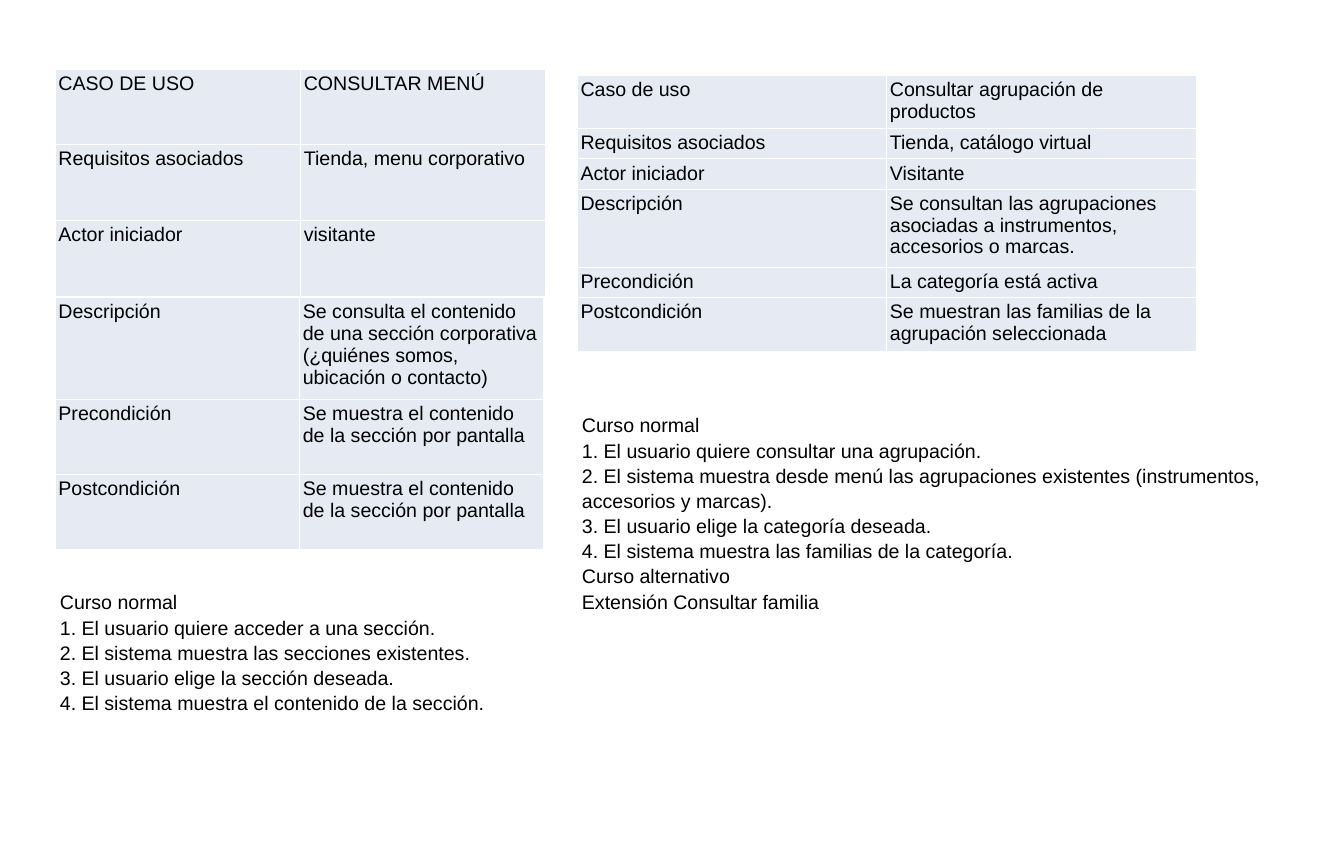
"""Build a slide of two use cases, each with its table and its steps."""
from dataclasses import dataclass

from lxml import etree
from pptx import Presentation
from pptx import util as u
from pptx.dml import color
from pptx.enum import text
from pptx.oxml import ns

HUES = {"ink": "000000", "cell": "E6EBF3", "edge": "FFFFFF"}
FONT = "Arial"
SIZE = 28


@dataclass
class Grid:
    left: float
    top: float
    width: float
    rows: list[tuple[float, str, str]]


@dataclass
class Steps:
    left: float
    top: float
    width: float
    height: float
    anchor: text.MSO_ANCHOR
    lines: list[str]


GRIDS = [
    Grid(1.09, 1.37, 4.87, [
        (1.5, "CASO DE USO", "CONSULTAR MENÚ"),
        (1.5, "Requisitos asociados", "Tienda, menu corporativo"),
        (1.5, "Actor iniciador", "visitante"),
    ]),
    Grid(1.09, 5.9, 4.85, [
        (2.03, "Descripción", "Se consulta el contenido de una sección corporativa "
                              "(¿quiénes somos, ubicación o contacto)"),
        (1.48, "Precondición", "Se muestra el contenido de la sección por pantalla"),
        (1.48, "Postcondición", "Se muestra el contenido de la sección por pantalla"),
    ]),
    Grid(11.45, 1.49, 6.14, [
        (1.06, "Caso de uso", "Consultar agrupación de productos"),
        (0.6, "Requisitos asociados", "Tienda, catálogo virtual"),
        (0.6, "Actor iniciador", "Visitante"),
        (1.55, "Descripción", "Se consultan las agrupaciones asociadas a instrumentos, "
                              "accesorios o marcas."),
        (0.6, "Precondición", "La categoría está activa"),
        (1.07, "Postcondición", "Se muestran las familias de la agrupación seleccionada"),
    ]),
]

STEPS = [
    Steps(1.09, 11.63, 13.33, 2.93, text.MSO_ANCHOR.TOP, [
        "Curso normal",
        "1. El usuario quiere acceder a una sección.",
        "2. El sistema muestra las secciones existentes.",
        "3. El usuario elige la sección deseada.",
        "4. El sistema muestra el contenido de la sección.",
    ]),
    Steps(11.45, 8.23, 14.43, 3.87, text.MSO_ANCHOR.MIDDLE, [
        "Curso normal",
        "1. El usuario quiere consultar una agrupación.",
        "2. El sistema muestra desde menú las agrupaciones existentes "
        "(instrumentos, accesorios y marcas).",
        "3. El usuario elige la categoría deseada.",
        "4. El sistema muestra las familias de la categoría.",
        "Curso alternativo",
        "Extensión Consultar familia",
    ]),
]


def style(para) -> None:
    para.font.name = FONT
    para.font.size = u.Pt(SIZE)
    para.font.color.rgb = color.RGBColor.from_string(HUES["ink"])


def edge(cell) -> None:
    props = cell._tc.get_or_add_tcPr()
    for side in ("lnL", "lnR", "lnT", "lnB"):
        line = etree.SubElement(props, ns.qn(f"a:{side}"), w=str(u.Pt(1)))
        fill = etree.SubElement(line, ns.qn("a:solidFill"))
        etree.SubElement(fill, ns.qn("a:srgbClr"), val=HUES["edge"])


def fill_cell(cell, words: str) -> None:
    cell.text = words
    style(cell.text_frame.paragraphs[0])
    cell.margin_left = cell.margin_right = u.Inches(0.07)
    cell.margin_top = cell.margin_bottom = u.Inches(0.07)
    edge(cell)
    cell.fill.solid()
    cell.fill.fore_color.rgb = color.RGBColor.from_string(HUES["cell"])


def draw_grid(slide, grid: Grid) -> None:
    tall = sum(row[0] for row in grid.rows)
    table = slide.shapes.add_table(
        len(grid.rows), 2, u.Inches(grid.left), u.Inches(grid.top),
        u.Inches(2 * grid.width), u.Inches(tall)).table
    table.first_row = table.horz_banding = False
    for col in table.columns:
        col.width = u.Inches(grid.width)
    for r, (height, *words) in enumerate(grid.rows):
        table.rows[r].height = u.Inches(height)
        for c, word in enumerate(words):
            fill_cell(table.cell(r, c), word)


def draw_steps(slide, steps: Steps) -> None:
    box = slide.shapes.add_textbox(
        u.Inches(steps.left), u.Inches(steps.top),
        u.Inches(steps.width), u.Inches(steps.height))
    frame = box.text_frame
    frame.word_wrap = True
    frame.vertical_anchor = steps.anchor
    frame.text = "\n".join(steps.lines)
    for para in frame.paragraphs:
        para.line_spacing = 1.07
        style(para)


def main() -> None:
    deck = Presentation()
    deck.slide_width, deck.slide_height = u.Inches(26.67), u.Inches(17.22)
    slide = deck.slides.add_slide(deck.slide_layouts[6])
    for grid in GRIDS:
        draw_grid(slide, grid)
    for steps in STEPS:
        draw_steps(slide, steps)
    deck.save("out.pptx")


if __name__ == "__main__":
    main()
